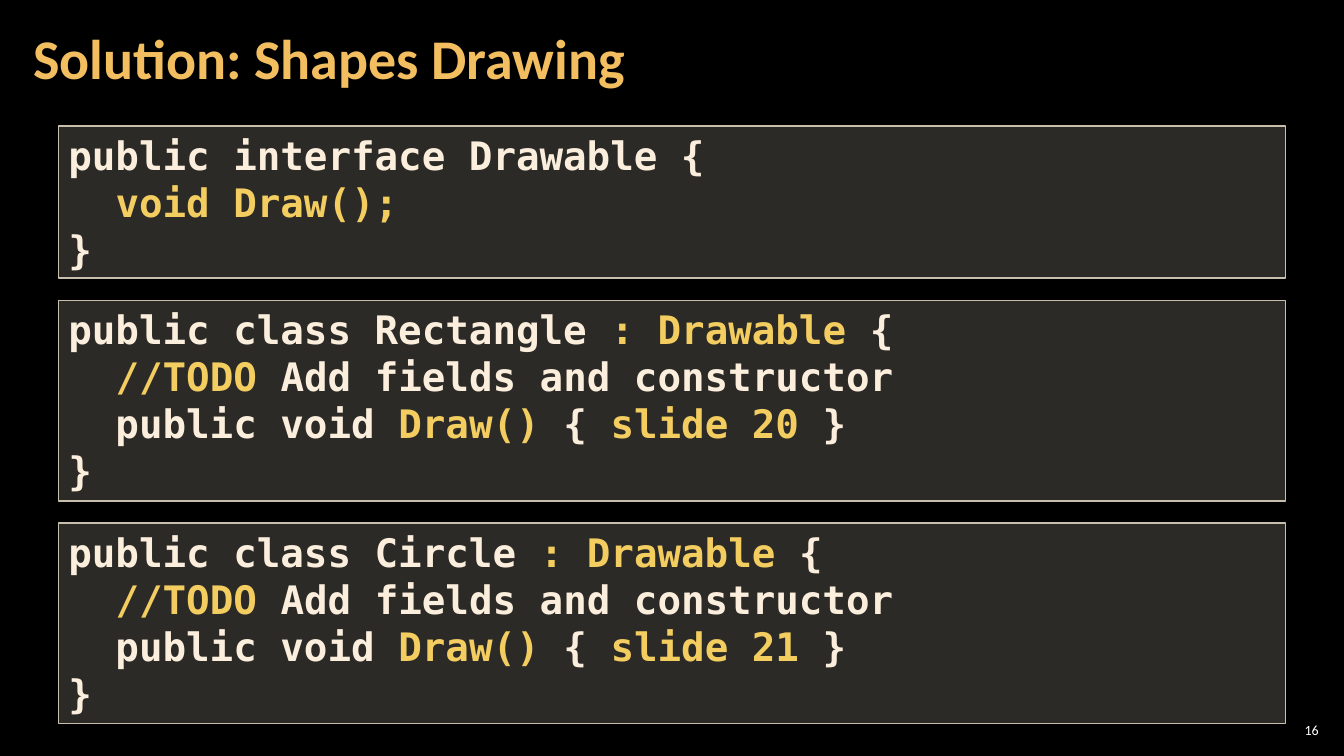
from dataclasses import dataclass

from lxml.etree import SubElement
from pptx import Presentation
from pptx.dml.color import RGBColor
from pptx.enum.shapes import MSO_SHAPE
from pptx.enum.text import MSO_ANCHOR, MSO_AUTO_SIZE, PP_ALIGN
from pptx.oxml.ns import qn
from pptx.util import Inches, Pt


@dataclass(frozen=True)
class Theme:
    background: str = "000000"
    title: str = "F3BE60"
    code: str = "FBEEDC"
    highlight: str = "F3CD60"
    panel: str = "D9D5C7"
    border: str = "C7BFAC"
    page_number: str = "FFFFFF"
    text_font: str = "Calibri"
    code_font: str = "DejaVu Sans Mono"
    title_size: int = 40
    code_size: int = 28
    page_number_size: int = 10
    panel_opacity: int = 20


def class_code(name, slide_number):
    return [
        [(f"public class {name} ", False), (": Drawable ", True), ("{", False)],
        [("  ", False), ("//TODO ", True), ("Add fields and constructor", False)],
        [("  public void ", False), ("Draw() ", True), ("{ ", False),
         (f"slide {slide_number} ", True), ("}", False)],
        [("}", False)],
    ]


TITLE = "Solution: Shapes Drawing"
PAGE_NUMBER = "16"
PANELS = [
    [
        [("public interface Drawable {", False)],
        [("  ", False), ("void Draw();", True)],
        [("}", False)],
    ],
    class_code("Rectangle", 20),
    class_code("Circle", 21),
]

THEME = Theme()
PANEL_LEFT, PANEL_TOP, PANEL_WIDTH = 0.58, 1.25, 12.17
LINE_HEIGHT, PANEL_PADDING, PANEL_GAP = 0.48, 0.07, 0.22


def style_font(font, name, size, color, bold=False):
    font.name = name
    font.size = Pt(size)
    font.bold = bold
    font.color.rgb = RGBColor.from_string(color)


def set_frame(text_frame, horizontal, vertical):
    text_frame.word_wrap = True
    text_frame.vertical_anchor = MSO_ANCHOR.MIDDLE
    text_frame.margin_left = text_frame.margin_right = Inches(horizontal)
    text_frame.margin_top = text_frame.margin_bottom = Inches(vertical)


def add_title(slide):
    title = slide.shapes.title
    title.left, title.top = Inches(0.21), Inches(0)
    title.width, title.height = Inches(10.47), Inches(1.21)
    title.text_frame.text = TITLE
    title.text_frame.auto_size = MSO_AUTO_SIZE.NONE
    set_frame(title.text_frame, 0.12, 0.04)
    paragraph = title.text_frame.paragraphs[0]
    paragraph.alignment = PP_ALIGN.LEFT
    paragraph.line_spacing = 0.9
    style_font(paragraph.runs[0].font, THEME.text_font, THEME.title_size, THEME.title, True)


def add_page_number(slide):
    box = slide.shapes.add_textbox(Inches(12.65), Inches(7.14), Inches(0.47), Inches(0.21))
    box.text_frame.text = PAGE_NUMBER
    set_frame(box.text_frame, 0.04, 0.04)
    paragraph = box.text_frame.paragraphs[0]
    paragraph.alignment = PP_ALIGN.RIGHT
    style_font(paragraph.runs[0].font, THEME.text_font, THEME.page_number_size, THEME.page_number)


def add_panel(slide, lines, top, height):
    panel = slide.shapes.add_shape(
        MSO_SHAPE.RECTANGLE, Inches(PANEL_LEFT), Inches(top), Inches(PANEL_WIDTH), Inches(height))
    panel.shadow.inherit = False
    panel.fill.solid()
    panel.fill.fore_color.rgb = RGBColor.from_string(THEME.panel)
    color = panel.fill._xPr.find(qn("a:solidFill"))[0]
    SubElement(color, qn("a:alpha")).set("val", str(THEME.panel_opacity * 1000))
    panel.line.color.rgb = RGBColor.from_string(THEME.border)
    panel.line.width = Pt(1)

    text_frame = panel.text_frame
    set_frame(text_frame, 0.1, 0.05)
    text_frame.vertical_anchor = MSO_ANCHOR.TOP
    text_frame.auto_size = MSO_AUTO_SIZE.SHAPE_TO_FIT_TEXT
    for index, line in enumerate(lines):
        paragraph = text_frame.add_paragraph() if index else text_frame.paragraphs[0]
        paragraph.alignment = PP_ALIGN.LEFT
        for text, highlighted in line:
            run = paragraph.add_run()
            run.text = text
            color = THEME.highlight if highlighted else THEME.code
            style_font(run.font, THEME.code_font, THEME.code_size, color, True)


def main():
    presentation = Presentation()
    presentation.slide_width, presentation.slide_height = Inches(13.33), Inches(7.5)
    slide = presentation.slides.add_slide(presentation.slide_layouts[5])
    slide.background.fill.solid()
    slide.background.fill.fore_color.rgb = RGBColor.from_string(THEME.background)

    add_title(slide)
    top = PANEL_TOP
    for lines in PANELS:
        height = len(lines) * LINE_HEIGHT + PANEL_PADDING
        add_panel(slide, lines, top, height)
        top += height + PANEL_GAP
    add_page_number(slide)
    presentation.save("out.pptx")


if __name__ == "__main__":
    main()
